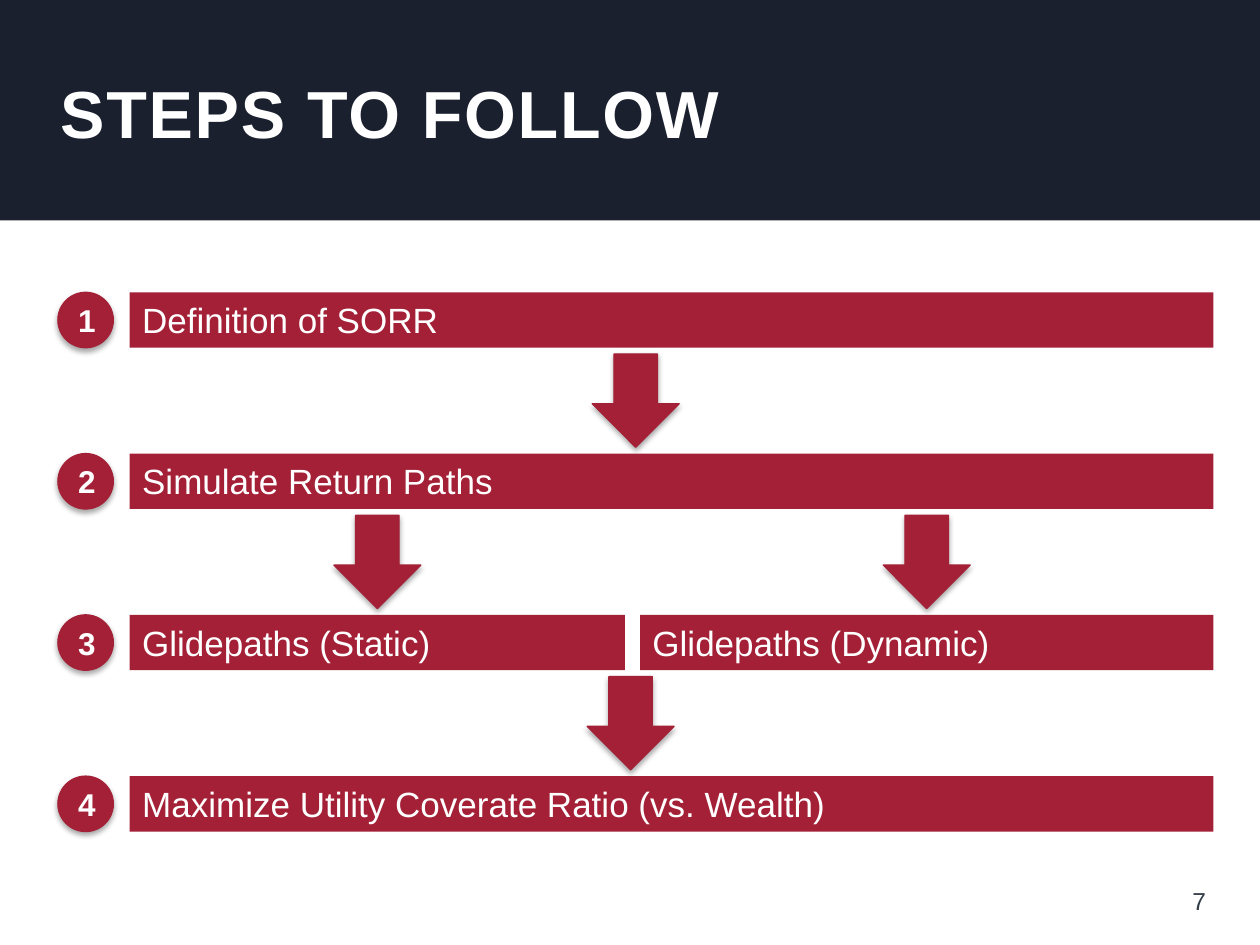
"""Build the slide that shows the four steps to follow."""
from lxml import etree
from pptx import Presentation
from pptx.dml.color import RGBColor
from pptx.enum import shapes, text
from pptx.oxml import ns
from pptx.util import Inches, Pt

HUES = {"navy": "1B202F", "red": "A42036", "white": "FFFFFF", "grey": "333E48"}
KIND = shapes.MSO_SHAPE
SHADE = (
    f'<a:effectLst {ns.nsdecls("a")}>'
    '<a:outerShdw blurRad="40000" dist="23000" dir="5400000" rotWithShape="0">'
    '<a:srgbClr val="000000"><a:alpha val="35000"/></a:srgbClr>'
    '</a:outerShdw></a:effectLst>'
)

deck = Presentation()
deck.slide_width, deck.slide_height = Inches(10), Inches(7.5)
slide = deck.slides.add_slide(deck.slide_layouts[6])


def draw(kind, left, top, width, height, hue="red", raised=False):
    item = slide.shapes.add_shape(
        kind, Inches(left), Inches(top), Inches(width), Inches(height))
    item.fill.solid()
    item.fill.fore_color.rgb = RGBColor.from_string(HUES[hue])
    item.shadow.inherit = False
    if raised:
        item.line.color.rgb = RGBColor.from_string(HUES[hue])
        item.line.width = Pt(0.75)
        props = item.element.spPr
        props.remove(props.find(ns.qn("a:effectLst")))
        props.append(etree.fromstring(SHADE))
    else:
        item.line.fill.background()
    return item


def write(item, words, size, hue="white", bold=False, align="LEFT", anchor="MIDDLE"):
    frame = item.text_frame
    frame.word_wrap = True
    frame.vertical_anchor = text.MSO_ANCHOR[anchor]
    para = frame.paragraphs[0]
    para.text = words
    para.alignment = text.PP_ALIGN[align]
    font = para.font
    font.name, font.size, font.bold = "Arial", Pt(size), bold
    font.color.rgb = RGBColor.from_string(HUES[hue])
    return frame


draw(KIND.RECTANGLE, 0, 0, 10, 1.75, "navy")
title = slide.shapes.add_textbox(Inches(0.38), 0, Inches(9.23), Inches(1.78))
frame = write(title, "STEPS TO FOLLOW", 38, bold=True)
frame.paragraphs[0].runs[0].font._element.set("spc", "100")
page = slide.shapes.add_textbox(Inches(7.34), Inches(6.95), Inches(2.33), Inches(0.4))
write(page, "7", 14, "grey", align="RIGHT")

TOP, STEP, SIZE = 2.32, 1.28, 0.44
steps = [
    ([("Definition of SORR", 1.03, 8.6)], [4.7]),
    ([("Simulate Return Paths", 1.03, 8.6)], [2.65, 7.01]),
    ([("Glidepaths (Static)", 1.03, 3.93),
      ("Glidepaths (Dynamic)", 5.08, 4.55)], [4.66]),
    ([("Maximize Utility Coverate Ratio (vs. Wealth)", 1.03, 8.6)], []),
]
for row, (bars, arrows) in enumerate(steps):
    top = TOP + row * STEP
    for words, left, width in bars:
        bar = draw(KIND.RECTANGLE, left, top, width, SIZE)
        write(bar, words, 20, anchor="TOP")
    disc = draw(KIND.OVAL, 0.46, top, SIZE, SIZE, raised=True)
    frame = write(disc, str(row + 1), 18, bold=True, align="CENTER")
    frame.margin_left, frame.margin_right = Inches(0.02), 0
    for left in arrows:
        draw(KIND.DOWN_ARROW, left, top + 0.49, 0.69, 0.74, raised=True)

deck.save("out.pptx")
